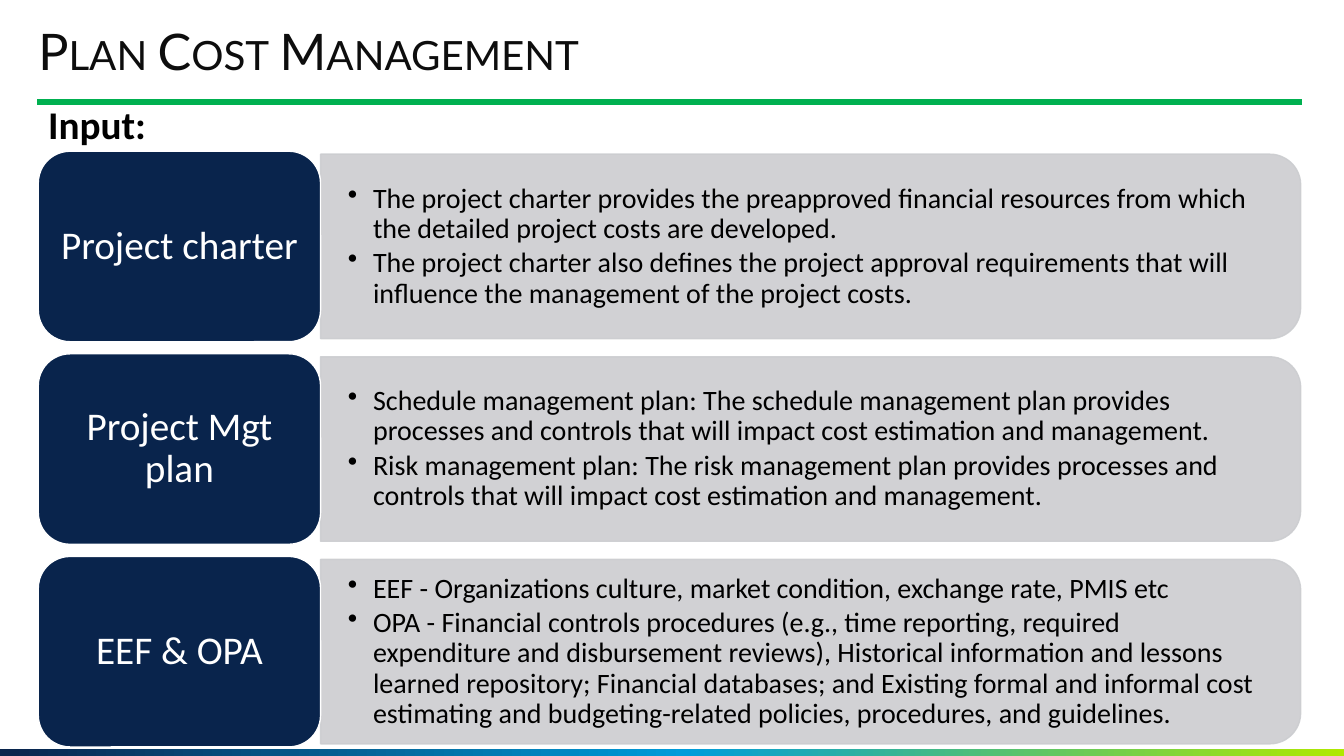
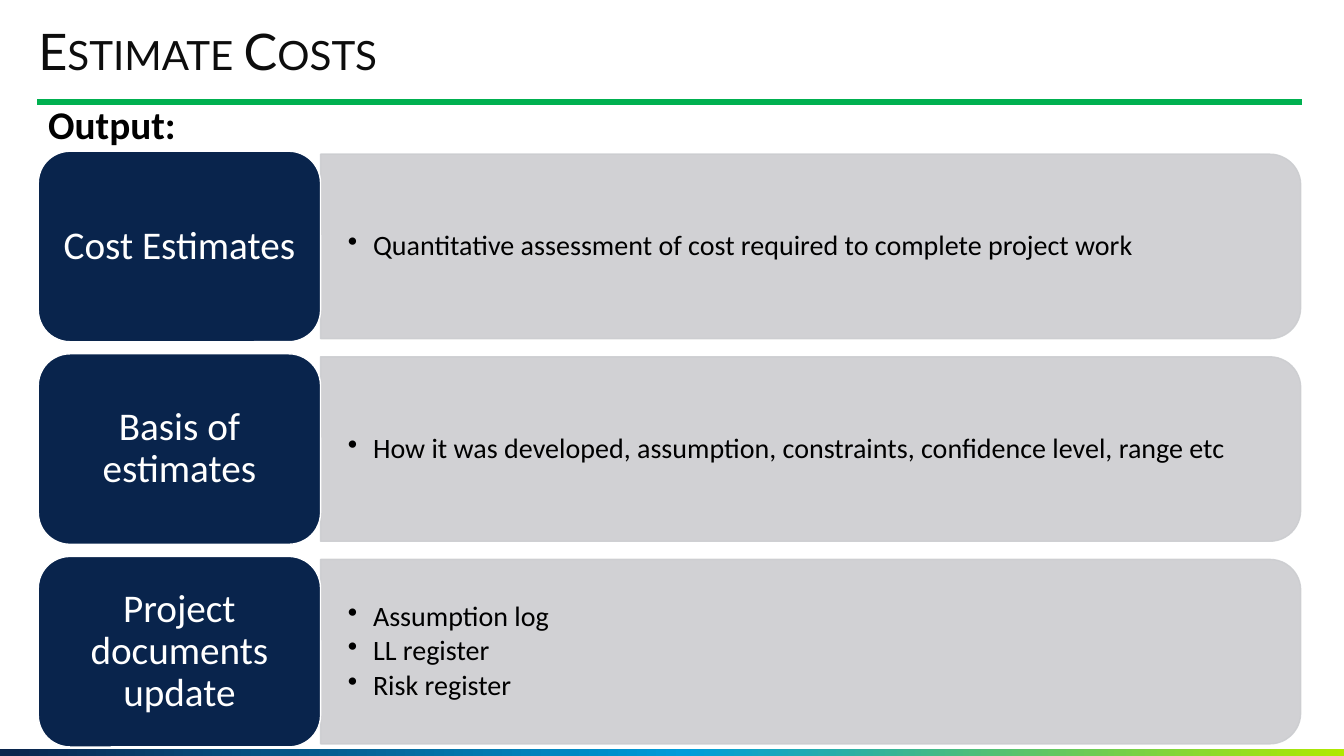
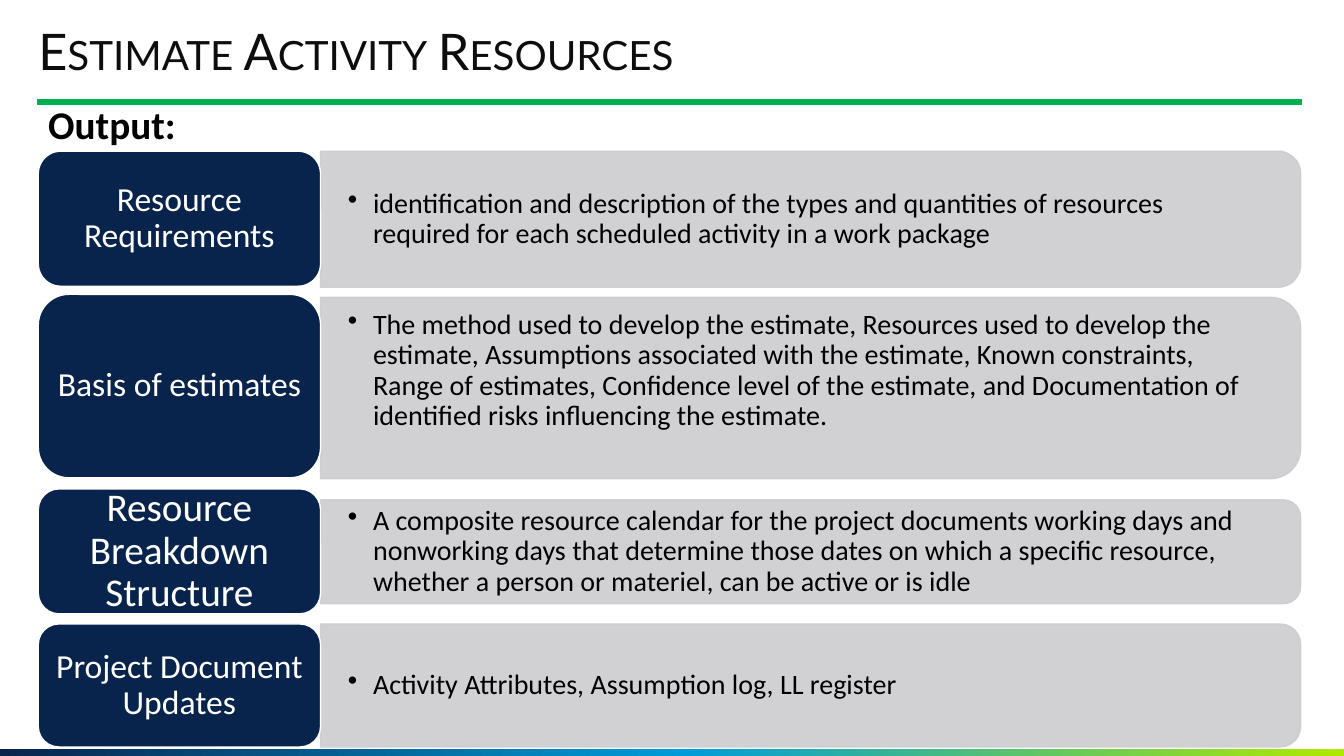
"""Builds three project cost slides with labelled rows of bulleted panels."""
from dataclasses import dataclass

from lxml import etree
from pptx import Presentation
from pptx import util as u
from pptx.dml.color import RGBColor
from pptx.enum import shapes, text
from pptx.oxml.ns import qn

PX = 9144
SLIDE_W, SLIDE_H = 1333, 750
LEFT, RIGHT = 38, 1291
LABEL_W, PANEL_W = 280, 972
CORNER_INSET = 0.049


@dataclass(frozen=True)
class Theme:
    """Colours, fonts and type sizes."""
    navy: str = "09244C"
    green: str = "00B050"
    grey: str = "CCCDD0"
    white: str = "FFFFFF"
    black: str = "000000"
    heading: str = "0D0D0D"
    band: tuple = ((0, "09244C"), (51, "009CDA"), (100, "B0E900"))
    title_font: str = "Lato"
    body_font: str = "Calibri"
    title_size: int = 36
    section_size: int = 28
    label_size: int = 28
    small_label_size: int = 24
    bullet_size: int = 20


THEME = Theme()


@dataclass(frozen=True)
class Row:
    """Vertical place of one label with its panel, and the label type size."""
    label_top: int
    label_h: int
    panel_top: int
    panel_h: int
    size: int
    lift: int = 0


THREE_ROWS = [Row(150 + 201 * i, 189, 153 + 201 * i, 183, THEME.label_size)
              for i in range(3)]
FOUR_ROWS = [
    Row(150, 134, 150, 135, THEME.small_label_size),
    Row(292, 182, 295, 180, THEME.small_label_size, lift=17),
    Row(485, 124, 496, 103, THEME.label_size),
    Row(619, 122, 619, 122, THEME.small_label_size),
]

SLIDES = [
    ("Plan Cost Management", "Input:", THREE_ROWS, [
        ("Project charter", [
            "The project charter provides the preapproved financial resources from "
            "which the detailed project costs are developed.",
            "The project charter also defines the project approval requirements that "
            "will influence the management of the project costs."]),
        ("Project Mgt plan", [
            "Schedule management plan: The schedule management plan provides processes "
            "and controls that will impact cost estimation and management.",
            "Risk management plan: The risk management plan provides processes and "
            "controls that will impact cost estimation and management."]),
        ("EEF & OPA", [
            "EEF - Organizations culture, market condition, exchange rate, PMIS etc",
            "OPA - Financial controls procedures (e.g., time reporting, required "
            "expenditure and disbursement reviews), Historical information and lessons "
            "learned repository; Financial databases; and Existing formal and informal "
            "cost estimating and budgeting-related policies, procedures, and "
            "guidelines."]),
    ]),
    ("Estimate Costs", "Output:", THREE_ROWS, [
        ("Cost Estimates", [
            "Quantitative assessment of cost required to complete project work"]),
        ("Basis of estimates", [
            "How it was developed, assumption, constraints, confidence level, range etc"]),
        ("Project documents update", [
            "Assumption log", "LL register", "Risk register"]),
    ]),
    ("Estimate Activity Resources", "Output:", FOUR_ROWS, [
        ("Resource Requirements", [
            "identification and description of the types and quantities of resources "
            "required for each scheduled activity in a work package"]),
        ("Basis of estimates", [
            "The method used to develop the estimate, Resources used to develop the "
            "estimate, Assumptions associated with the estimate, Known constraints, "
            "Range of estimates, Confidence level of the estimate, and Documentation of "
            "identified risks influencing the estimate."]),
        ("Resource Breakdown Structure", [
            "A composite resource calendar for the project documents working days and "
            "nonworking days that determine those dates on which a specific resource, "
            "whether a person or materiel, can be active or is idle"]),
        ("Project Document Updates", [
            "Activity Attributes, Assumption log, LL register"]),
    ]),
]


def px(*lengths):
    return [u.Emu(round(length * PX)) for length in lengths]


def rgb(colour):
    return RGBColor.from_string(colour)


def write(frame, paragraphs, *, size, colour, font=THEME.body_font, bold=False,
          small_caps=False, bullets=False, align=text.PP_ALIGN.LEFT,
          anchor=text.MSO_ANCHOR.TOP, inset=(10, 5)):
    frame.word_wrap = True
    frame.vertical_anchor = anchor
    frame.margin_left, frame.margin_top = px(*inset)
    frame.margin_right, frame.margin_bottom = px(*inset)
    for i, words in enumerate(paragraphs):
        para = frame.add_paragraph() if i else frame.paragraphs[0]
        if bullets:
            props = para._p.get_or_add_pPr()
            props.set("marL", str(25 * PX))
            props.set("indent", str(-25 * PX))
            etree.SubElement(props, qn("a:buChar"), char="•")
            para.space_after = u.Pt(3)
        para.line_spacing = 0.9
        para.alignment = align
        run = para.add_run()
        run.text = words
        run.font.name = font
        run.font.size = u.Pt(size)
        run.font.bold = bold
        run.font.color.rgb = rgb(colour)
        if small_caps:
            run._r.get_or_add_rPr().set("cap", "small")


def add_block(slide, kind, box, fill, line=None):
    block = slide.shapes.add_shape(kind, *px(*box))
    block.shadow.inherit = False
    block.fill.solid()
    block.fill.fore_color.rgb = rgb(fill)
    if line:
        block.line.color.rgb = rgb(line)
        block.line.width = u.Pt(1)
    else:
        block.line.fill.background()
    return block


def add_frame(slide, title, section):
    band = add_block(slide, shapes.MSO_SHAPE.RECTANGLE,
                     (0, 743, SLIDE_W, 7), THEME.navy)
    band.fill.gradient()
    band.fill.gradient_angle = 0
    stops = band._element.spPr.find(".//" + qn("a:gsLst"))
    for stop in list(stops):
        stops.remove(stop)
    for percent, colour in THEME.band:
        stop = etree.SubElement(stops, qn("a:gs"), pos=str(percent * 1000))
        etree.SubElement(stop, qn("a:srgbClr"), val=colour)

    rule = slide.shapes.add_connector(shapes.MSO_CONNECTOR.STRAIGHT,
                                      *px(37, 101, RIGHT, 101))
    rule.line.color.rgb = rgb(THEME.green)
    rule.line.width = u.Pt(4.5)
    etree.SubElement(rule._element.spPr, qn("a:effectLst"))

    heading = slide.shapes.add_textbox(*px(LEFT, 27, 1119, 55))
    write(heading.text_frame, [title], size=THEME.title_size, colour=THEME.heading,
          font=THEME.title_font, small_caps=True, inset=(0, 0))
    subheading = slide.shapes.add_textbox(*px(LEFT, 100, RIGHT - LEFT, 55))
    write(subheading.text_frame, [section], size=THEME.section_size,
          colour=THEME.black, bold=True)


def add_row(slide, row, name, points):
    panel_left = LEFT + LABEL_W
    turn = (PANEL_W - row.panel_h) / 2
    panel = add_block(slide, shapes.MSO_SHAPE.ROUND_2_SAME_RECTANGLE,
                      (panel_left + turn, row.panel_top - turn, row.panel_h, PANEL_W),
                      THEME.grey, THEME.grey)
    panel.rotation = 90
    for colour in panel._element.spPr.iter(qn("a:srgbClr")):
        etree.SubElement(colour, qn("a:alpha"), val="90000")

    corner = CORNER_INSET * row.panel_h
    details = slide.shapes.add_textbox(
        *px(panel_left, row.panel_top + corner - row.lift,
            PANEL_W - corner, row.panel_h - 2 * corner))
    write(details.text_frame, points, size=THEME.bullet_size, colour=THEME.black,
          bullets=True, anchor=text.MSO_ANCHOR.MIDDLE, inset=(27, 14))

    label = add_block(slide, shapes.MSO_SHAPE.ROUNDED_RECTANGLE,
                      (LEFT, row.label_top, LABEL_W, row.label_h),
                      THEME.navy, THEME.white)
    write(label.text_frame, [name], size=row.size, colour=THEME.white,
          align=text.PP_ALIGN.CENTER, anchor=text.MSO_ANCHOR.MIDDLE,
          inset=(12, 6) if row.size == THEME.label_size else (10, 5))


def main():
    deck = Presentation()
    deck.slide_width, deck.slide_height = px(SLIDE_W, SLIDE_H)
    for title, section, rows, entries in SLIDES:
        slide = deck.slides.add_slide(deck.slide_layouts[6])
        add_frame(slide, title, section)
        for row, (name, points) in zip(rows, entries):
            add_row(slide, row, name, points)
    deck.save("out.pptx")


if __name__ == "__main__":
    main()
